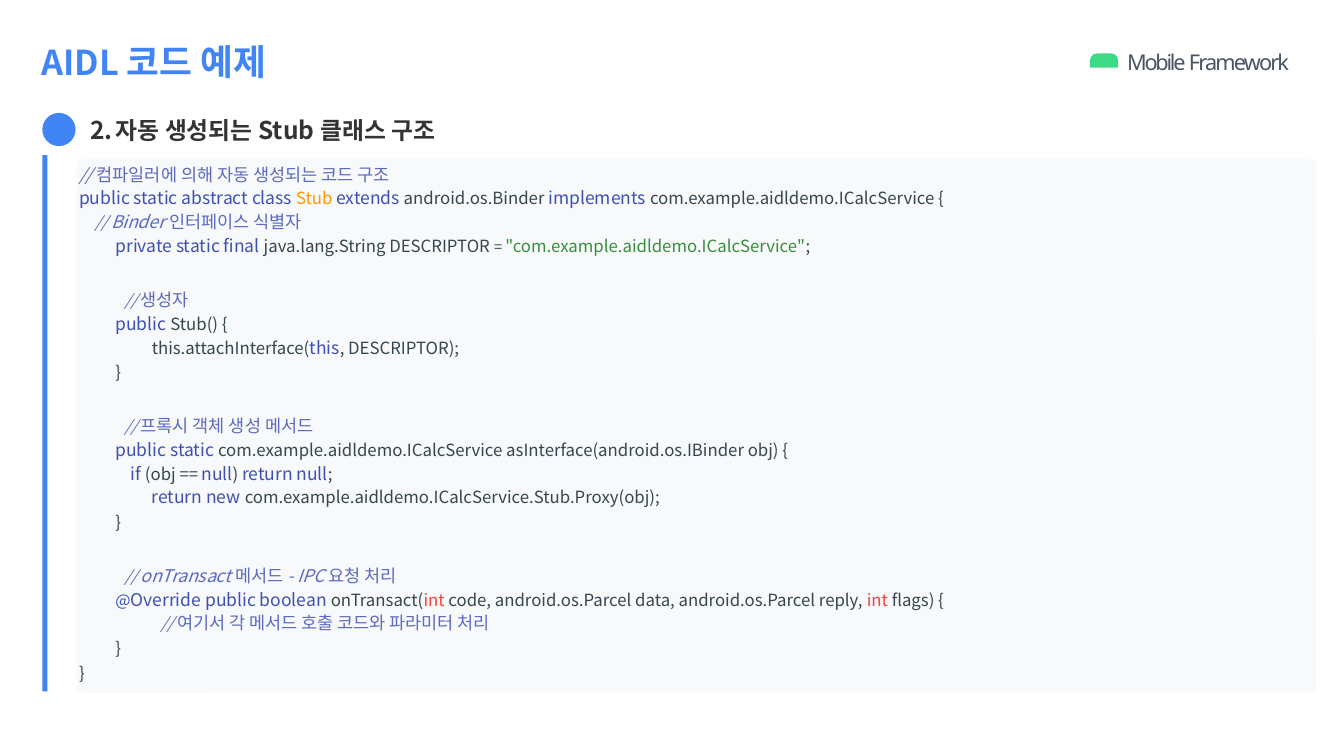
from lxml import etree
from pptx import Presentation
from pptx import util as u
from pptx.dml.color import RGBColor
from pptx.enum import shapes, text
from pptx.oxml import ns

BLUE = RGBColor(0x41, 0x85, 0xF4)
GREEN = RGBColor(0x3C, 0xDB, 0x83)
GREY = RGBColor(0x4A, 0x54, 0x62)
PALE = RGBColor(0xF7, 0xF9, 0xFA)
DARK = RGBColor(0x33, 0x33, 0x33)
INDIGO = RGBColor(0x3F, 0x50, 0xB4)
VIOLET = RGBColor(0x5C, 0x6A, 0xBF)
SLATE = RGBColor(0x37, 0x46, 0x4E)
ORANGE = RGBColor(0xFF, 0x98, 0x00)
LEAF = RGBColor(0x37, 0x8E, 0x3C)
RED = RGBColor(0xF4, 0x42, 0x36)
SANS = "Noto Sans"
CJK = "Noto Sans CJK KR"


def write(para, parts, face=CJK, bold=False):
    for words, size, color, italic in parts:
        run = para.add_run()
        run.text = words
        font = run.font
        font.size, font.bold, font.italic = u.Pt(size), bold, italic
        font.color.rgb = color
        font.name = face
        etree.SubElement(run._r.get_or_add_rPr(), ns.qn("a:ea"), typeface=face)


def block(kind, left, top, width, height, color):
    shape = page.shapes.add_shape(
        kind, u.Inches(left), u.Inches(top), u.Inches(width), u.Inches(height))
    shape.shadow.inherit = False
    shape.fill.solid()
    shape.fill.fore_color.rgb = color
    shape.line.fill.background()
    return shape


deck = Presentation()
deck.slide_width, deck.slide_height = u.Inches(13.33), u.Inches(7.5)
page = deck.slides.add_slide(deck.slide_layouts[5])

title = page.shapes.title
title.left, title.top = u.Inches(0.4), u.Inches(0.37)
title.width, title.height = u.Inches(3.01), u.Inches(0.44)
brand = page.shapes.add_textbox(
    u.Inches(11.17), u.Inches(0.46), u.Inches(1.77), u.Inches(0.29))
for box in (title, brand):
    frame = box.text_frame
    frame.auto_size = text.MSO_AUTO_SIZE.NONE
    frame.word_wrap = True
    frame.vertical_anchor = text.MSO_ANCHOR.TOP
    frame.margin_left = u.Inches(0.01)
    frame.margin_top = u.Inches(0.02)
    frame.margin_right = frame.margin_bottom = 0
    frame.paragraphs[0].alignment = text.PP_ALIGN.LEFT

write(title.text_frame.paragraphs[0],
      [("AIDL ", 24.5, BLUE, False), ("코드 예제", 25.5, BLUE, False)], bold=True)
label = brand.text_frame.paragraphs[0]
write(label, [("Mobile ", 15.5, GREY, False), ("Framework", 15.5, GREY, False)], SANS)
for run, gap in zip(label.runs, ("-160", "-130")):
    run._r.get_or_add_rPr().set("spc", gap)

kinds = shapes.MSO_SHAPE
badge = block(kinds.ROUND_2_SAME_RECTANGLE, 10.81, 0.53, 0.28, 0.14, GREEN)
badge.adjustments[0] = 0.5
block(kinds.RECTANGLE, 0.42, 1.54, 0.05, 5.32, BLUE)
panel = block(kinds.ROUNDED_RECTANGLE, 0.76, 1.58, 12.29, 5.29, PALE)
panel.adjustments[0] = 0.01
block(kinds.OVAL, 0.42, 1.12, 0.33, 0.33, BLUE)

head = page.shapes.add_textbox(
    u.Inches(0.7), u.Inches(1.09), u.Inches(6.67), u.Inches(0.4))
head.text_frame.word_wrap = True
para = head.text_frame.paragraphs[0]
props = para._p.get_or_add_pPr()
props.set("marL", str(u.Inches(0.35)))
props.set("indent", str(u.Inches(-0.25)))
etree.SubElement(props, ns.qn("a:buSzPct"), val="103000")
etree.SubElement(props, ns.qn("a:buAutoNum"), type="arabicPeriod", startAt="2")
tabs = etree.SubElement(props, ns.qn("a:tabLst"))
etree.SubElement(tabs, ns.qn("a:tab"), pos=str(u.Inches(0.35)), algn="l")
write(para, [("자동 생성되는 ", 17, DARK, False), ("Stub ", 17.5, DARK, False),
             ("클래스 구조", 17, DARK, False)], bold=True)

styles = {
    "key": (12.5, INDIGO, False),
    "at": (11.5, INDIGO, False),
    "code": (12, SLATE, False),
    "sign": (10.5, SLATE, False),
    "name": (12, ORANGE, False),
    "str": (12, LEAF, False),
    "type": (12, RED, False),
    "mark": (11.5, VIOLET, True),
    "slant": (12.5, VIOLET, True),
    "note": (12.5, VIOLET, False),
}
lines = [
    (0.01, 0, [("slant", "// "), ("note", "컴파일러에 의해 자동 생성되는 코드 구조")]),
    (0.01, 0, [("key", "public static abstract class "), ("name", "Stub "),
               ("key", "extends "), ("code", "android.os.Binder "),
               ("key", "implements "), ("code", "com.example.aidldemo.ICalcService {")]),
    (0.01, 0, [("slant", "    "), ("mark", "// "), ("slant", "Binder "),
               ("note", "인터페이스 식별자")]),
    (0.37, 0, [("key", "private static final "), ("code", "java.lang.String DESCRIPTOR "),
               ("sign", "= "), ("str", '"com.example.aidldemo.ICalcService"'),
               ("code", ";")]),
    (0.46, 21.5, [("mark", "// "), ("note", "생성자")]),
    (0.37, 0, [("key", "public "), ("code", "Stub() {")]),
    (0.73, 0, [("code", "this.attachInterface("), ("key", "this"),
               ("code", ", DESCRIPTOR);")]),
    (0.37, 0.5, [("code", "}")]),
    (0.46, 21.5, [("mark", "// "), ("note", "프록시 객체 생성 메서드")]),
    (0.37, 0, [("key", "public static "),
               ("code", "com.example.aidldemo.ICalcService "
                        "asInterface(android.os.IBinder obj) {")]),
    (0.37, 0, [("code", "    "), ("key", "if "), ("code", "(obj =="), ("sign", " "),
               ("key", "null"), ("code", ") "), ("key", "return null"), ("code", ";")]),
    (0.73, 0, [("key", "return new "),
               ("code", "com.example.aidldemo.ICalcService.Stub.Proxy(obj);")]),
    (0.37, 0.5, [("code", "}")]),
    (0.46, 21.5, [("mark", "// "), ("slant", "onTransact "), ("note", "메서드 "),
                  ("slant", "- IPC "), ("note", "요청 처리")]),
    (0.37, 0, [("at", "@"), ("key", "Override public boolean "), ("code", "onTransact("),
               ("type", "int "),
               ("code", "code, android.os.Parcel data, android.os.Parcel reply, "),
               ("type", "int "), ("code", "flags) {")]),
    (0.82, 0, [("mark", "// "), ("note", "여기서 각 메서드 호출 코드와 파라미터 처리")]),
    (0.37, 0.5, [("code", "}")]),
    (0.01, 0.5, [("code", "}")]),
]
frame = panel.text_frame
frame.word_wrap = True
frame.vertical_anchor = text.MSO_ANCHOR.TOP
frame.margin_left = frame.margin_top = frame.margin_right = frame.margin_bottom = 0
for row, (indent, before, parts) in enumerate(lines):
    para = frame.add_paragraph() if row else frame.paragraphs[0]
    para.alignment = text.PP_ALIGN.LEFT
    para.line_spacing = u.Pt(17)
    para.space_before = u.Pt(before)
    para._p.get_or_add_pPr().set("marL", str(u.Inches(indent)))
    write(para, [(words, *styles[style]) for style, words in parts])

deck.save("out.pptx")
